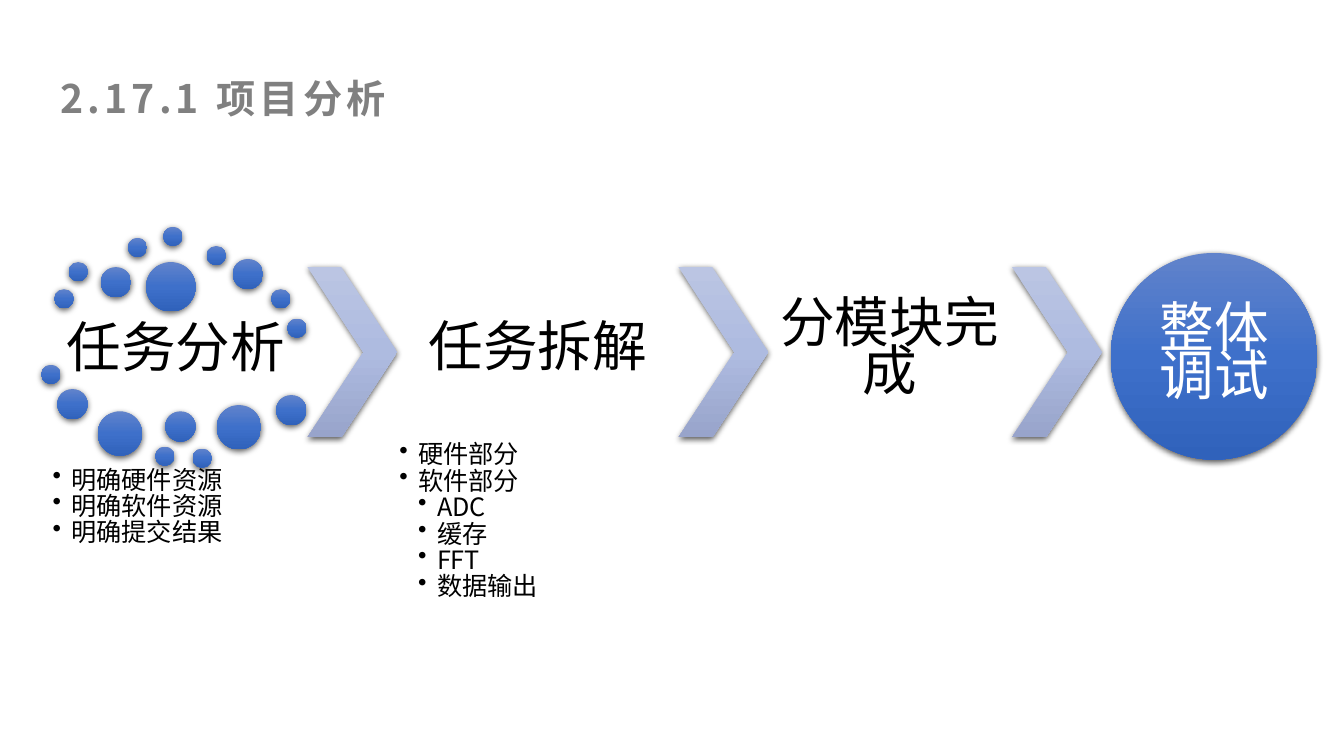
"""Builds the project analysis process slide."""
import copy

import pptx
import pptx.dml.color
import pptx.enum.shapes
import pptx.enum.text
import pptx.oxml
import pptx.oxml.ns
import pptx.util

Pt = pptx.util.Pt
SHAPE = pptx.enum.shapes.MSO_SHAPE
ALIGN = pptx.enum.text.PP_ALIGN
ANCHOR = pptx.enum.text.MSO_ANCHOR
qn = pptx.oxml.ns.qn

FONT = "Noto Sans CJK SC"
BLUE = ("6183CB", "3E70CA", "3062BB")
PALE = ("BBC5E3", "AEBBE0", "98A4CB")
TIGHT = 0.72
BULLET_INDENT = 13.5
STEP_TOP, STEP_HEIGHT, STEP_WIDTH = 190.8, 121.7, 173.5
SHADOW = (
    '<a:outerShdw xmlns:a="http://schemas.openxmlformats.org/drawingml/2006/main" '
    'blurRad="57150" dist="19050" dir="5400000" algn="ctr" rotWithShape="0">'
    '<a:srgbClr val="000000"><a:alpha val="63000"/></a:srgbClr></a:outerShdw>'
)
DOTS = {
    13.7: [(38.9, 206.6), (49, 187.2), (91.4, 169.9), (116.6, 162), (147.6, 175.7),
           (193.7, 206.6), (205.2, 227.5), (29.5, 260.6), (110.9, 319), (137.5, 320.4)],
    21.6: [(72, 190.8), (166.3, 185), (41, 277.9), (118.1, 293.8), (197.3, 282.2)],
    31.7: [(69.8, 293.8), (154.8, 289.4)],
    35.3: [(104.4, 187.2)],
}
ANALYSIS = [("明确硬件资源", 1), ("明确软件资源", 1), ("明确提交结果", 1)]
BREAKDOWN = [("硬件部分", 1), ("软件部分", 1), ("ADC", 2), ("缓存", 2),
             ("FFT", 2), ("数据输出", 2)]


def colour(value):
    """Return the colour for a hex string."""
    return pptx.dml.color.RGBColor.from_string(value)


def style(paragraph, size, ink, bold=False):
    """Set the font of every run in a paragraph."""
    for run in paragraph.runs:
        run.font.size = Pt(size)
        run.font.bold = bold
        run.font.name = FONT
        run.font.color.rgb = colour(ink)
        east_asian = run.font._element.makeelement(qn("a:ea"), {"typeface": FONT})
        run.font._element.append(east_asian)


def add_frame(slide, box, inset, anchor):
    """Add an empty wrapped text box and return its text frame."""
    frame = slide.shapes.add_textbox(*map(Pt, box)).text_frame
    frame.word_wrap = True
    frame.vertical_anchor = anchor
    frame.margin_left = frame.margin_right = Pt(inset)
    frame.margin_top = frame.margin_bottom = Pt(inset)
    return frame


def add_title(slide, text):
    """Add the letter-spaced slide title."""
    frame = add_frame(slide, (36, 25.9, 696.2, 88.6), 7.2, ANCHOR.MIDDLE)
    frame.text = text
    heading = frame.paragraphs[0]
    style(heading, 28, "808080", bold=True)
    heading.runs[0].font._element.set("spc", "300")


def add_step(slide, text, box, inset=3.6, ink="000000"):
    """Add the centred name of a process step."""
    frame = add_frame(slide, box, inset, ANCHOR.MIDDLE)
    frame.text = text
    step = frame.paragraphs[0]
    step.alignment = ALIGN.CENTER
    step.line_spacing = TIGHT
    style(step, 39, ink)


def add_bullets(slide, items, box):
    """Add a bulleted list of (text, level) items."""
    frame = add_frame(slide, box, 2.2, ANCHOR.TOP)
    frame.text = "\n".join(text for text, _ in items)
    for item, (_, level) in zip(frame.paragraphs, items):
        item.level = level
        item.line_spacing = TIGHT
        item.space_after = Pt(3.3)
        style(item, 18, "000000")
        properties = item._p.get_or_add_pPr()
        properties.set("marL", str(Pt(BULLET_INDENT * level)))
        properties.set("indent", str(-Pt(BULLET_INDENT)))
        properties.append(properties.makeelement(qn("a:buChar"), {"char": "•"}))


def add_shaded(slide, preset, box, shades):
    """Add a shape with a vertical three-stop gradient and a soft shadow."""
    shape = slide.shapes.add_shape(preset, *map(Pt, box))
    shape.line.fill.background()
    shape.fill.gradient()
    shape.fill.gradient_angle = 270
    properties = shape._element.spPr
    stops = properties.find(".//" + qn("a:gsLst"))
    stops.append(copy.deepcopy(stops[-1]))
    for index, (stop, shade) in enumerate(zip(shape.fill.gradient_stops, shades)):
        stop.position = index / 2
        stop.color.rgb = colour(shade)
    shape.shadow.inherit = False
    properties.find(qn("a:effectLst")).append(pptx.oxml.parse_xml(SHADOW))
    return shape


def add_chevron(slide, left):
    """Add the chevron that leads to the next step."""
    box = (left, STEP_TOP, 64.1, STEP_HEIGHT)
    add_shaded(slide, SHAPE.CHEVRON, box, PALE).adjustments[0] = 0.623


def main():
    """Build and save the slide."""
    deck = pptx.Presentation()
    deck.slide_width, deck.slide_height = Pt(960), Pt(540)
    slide = deck.slides.add_slide(deck.slide_layouts[6])

    add_title(slide, "2.17.1 项目分析")
    add_step(slide, "任务分析", (38.9, 223.9, STEP_WIDTH, 56.9))
    add_bullets(slide, ANALYSIS, (35.3, 334.8, 181.4, 127.4))
    for size, corners in DOTS.items():
        for left, top in corners:
            add_shaded(slide, SHAPE.OVAL, (left, top, size, size), BLUE)

    for left in (219.6, 484.6, 722.9):
        add_chevron(slide, left)
    for name, left in (("任务拆解", 297.4), ("分模块完成", 548.6)):
        add_step(slide, name, (left, STEP_TOP, STEP_WIDTH, STEP_HEIGHT))
    add_bullets(slide, BREAKDOWN, (283, 316.8, 201.6, 162.7))

    add_shaded(slide, SHAPE.OVAL, (793.4, 180.7, 147.6, 147.6), BLUE)
    add_step(slide, "整体调试", (815, 203, 104.4, 104.4), inset=0, ink="FFFFFF")
    deck.save("out.pptx")


if __name__ == "__main__":
    main()
